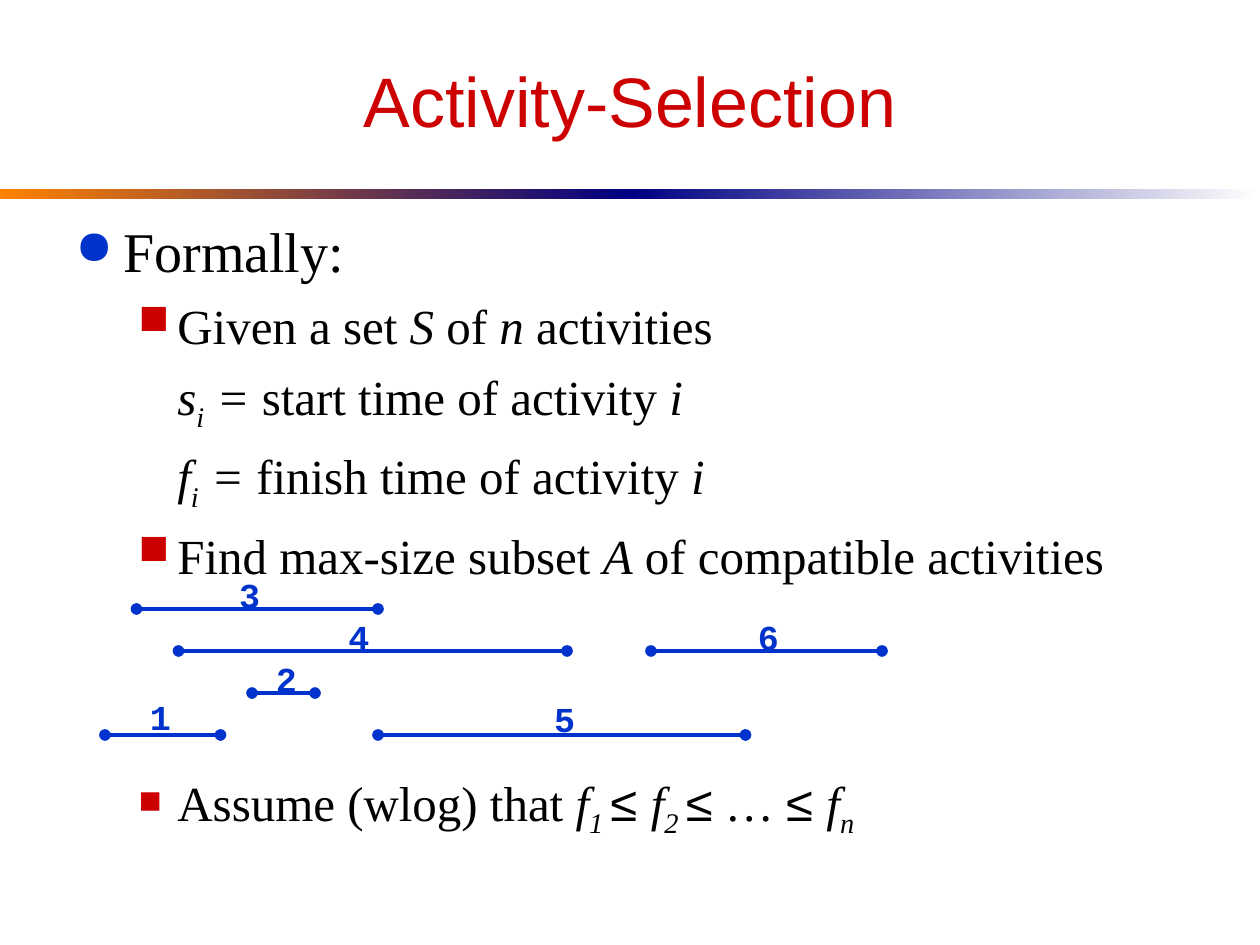
import pptx
import pptx.dml.color
import pptx.enum.shapes
import pptx.enum.text
import pptx.oxml.ns
import pptx.util
import lxml.etree

RGB = pptx.dml.color.RGBColor
RED = RGB(0xCC, 0x00, 0x00)
BLUE = RGB(0x00, 0x33, 0xCC)
NAVY = RGB(0x00, 0x00, 0x82)
ORANGE = RGB(0xFF, 0x82, 0x00)
WHITE = RGB(0xFF, 0xFF, 0xFF)
BLACK = RGB(0x00, 0x00, 0x00)

SANS, SERIF, MONO = "Arial", "Times New Roman", "Courier New"
ALIGN = pptx.enum.text.PP_ALIGN
ANCHOR = pptx.enum.text.MSO_ANCHOR
UNIT = pptx.util.Inches(1) / 12  # the slide is 120 columns by 90 rows


def grid(*cells):
    return [round(cell * UNIT) for cell in cells]


def add_tag(parent, name, **attrs):
    tag = lxml.etree.SubElement(parent, pptx.oxml.ns.qn(name))
    for key, value in attrs.items():
        tag.set(key, str(value))
    return tag


class Deck:
    def __init__(self):
        self.file = pptx.Presentation()
        self.file.slide_width, self.file.slide_height = grid(120, 90)
        self.slide = self.file.slides.add_slide(self.file.slide_layouts[6])
        self.shapes = self.slide.shapes

    def band(self, col, row, wide, high, left, right):
        """Bar that fades from the left colour to the right one."""
        kind = pptx.enum.shapes.MSO_SHAPE.RECTANGLE
        bar = self.shapes.add_shape(kind, *grid(col, row, wide, high))
        bar.shadow.inherit = False
        bar.line.fill.background()
        bar.fill.gradient()
        bar.fill.gradient_angle = 0
        for stop, color in zip(bar.fill.gradient_stops, (left, right)):
            stop.color.rgb = color

    def box(self, col, row, wide, high, wrap=True):
        frame = self.shapes.add_textbox(*grid(col, row, wide, high)).text_frame
        frame.word_wrap = wrap
        return frame

    def run(self, para, text, size, face=SERIF, color=BLACK, style=""):
        """Style letters: b bold, i italic, s subscript."""
        run = para.add_run()
        run.text = text
        font = run.font
        font.size, font.name = pptx.util.Pt(size), face
        font.color.rgb = color
        font.bold, font.italic = "b" in style, "i" in style
        if "s" in style:
            run._r.get_or_add_rPr().set("baseline", "-25000")

    def item(self, frame, runs, size=28, left=0.81, hang=0.31,
             mark=None, color=RED, share=85, gap=7):
        """Paragraph of (text, style, face) runs, with a bullet if marked."""
        first = not frame.paragraphs[0].runs
        para = frame.paragraphs[0] if first else frame.add_paragraph()
        if not first:
            para.space_before = pptx.util.Pt(gap)
        props = para._p.get_or_add_pPr()
        props.set("marL", str(pptx.util.Inches(left)))
        props.set("indent", str(-pptx.util.Inches(hang) if mark else 0))
        if mark:
            add_tag(add_tag(props, "a:buClr"), "a:srgbClr", val=color)
            add_tag(props, "a:buSzPct", val=share * 1000)
            add_tag(props, "a:buChar", char=mark)
        for text, style, face in runs:
            self.run(para, text, size, face, style=style)

    def span(self, start, end, row):
        """Time span of an activity, with a dot at each end."""
        kind = pptx.enum.shapes.MSO_CONNECTOR.STRAIGHT
        line = self.shapes.add_connector(kind, *grid(start, row, end, row))
        line.line.color.rgb = BLUE
        line.line.width = pptx.util.Pt(2.25)
        props = line._element.spPr
        stroke = props.find(pptx.oxml.ns.qn("a:ln"))
        add_tag(stroke, "a:headEnd", type="oval")
        add_tag(stroke, "a:tailEnd", type="oval")
        add_tag(props, "a:effectLst")

    def label(self, text, col, row):
        frame = self.box(col, row, 4.3, 5.25, wrap=False)
        self.run(frame.paragraphs[0], text, 20, MONO, BLUE, "b")

    def title(self, text):
        frame = self.box(6, 3, 108, 13)
        frame.vertical_anchor = ANCHOR.MIDDLE
        frame.paragraphs[0].alignment = ALIGN.CENTER
        self.run(frame.paragraphs[0], text, 40, SANS, RED)


def plain(text):
    return text, "", SERIF


def slant(text):
    return text, "i", SERIF


def sub(text):
    return text, "is", SERIF


def sign(text):
    return text, "", SANS


def main():
    deck = Deck()
    deck.band(0, 18, 60, 1, ORANGE, NAVY)
    deck.band(60, 18, 60, 1, NAVY, WHITE)
    deck.title("Activity-Selection")

    body = deck.box(6, 20, 108, 36)
    deck.item(body, [plain("Formally:")], 32, 0.38, 0.38, "●", BLUE)
    deck.item(body, [plain("Given a set "), slant("S"), plain(" of "),
                     slant("n"), plain(" activities")], mark="■")
    for name, event in (("s", "start"), ("f", "finish")):
        deck.item(body, [slant(name), sub("i"), slant(" = "),
                         plain(f"{event} time of activity "), slant("i")])
    deck.item(body, [plain("Find max-size subset "), slant("A"),
                     plain(" of compatible activities")], mark="■")

    # start, end and row of each span, then column and row of its label
    spans = (
        (10, 21, 70, 13.1, 65.6),
        (24, 30, 66, 25.1, 62),
        (13, 36, 58, 21.6, 54),
        (36, 71, 70, 51.6, 65.8),
        (17, 54, 62, 32, 58),
        (62, 84, 62, 71, 58),
    )
    for start, end, row, _, _ in spans:
        deck.span(start, end, row)
    for text, (_, _, _, col, row) in zip("123546", spans):
        deck.label(text, col, row)

    foot = deck.box(6, 73, 108, 13)
    deck.item(foot, [plain("Assume (wlog) that "), slant("f"), sub("1 "),
                     sign("≤ "), slant("f"), sub("2 "), sign("≤"),
                     plain(" … "), sign("≤ "), slant("f"), sub("n")],
              mark="■", share=65)
    deck.file.save("out.pptx")


if __name__ == "__main__":
    main()
